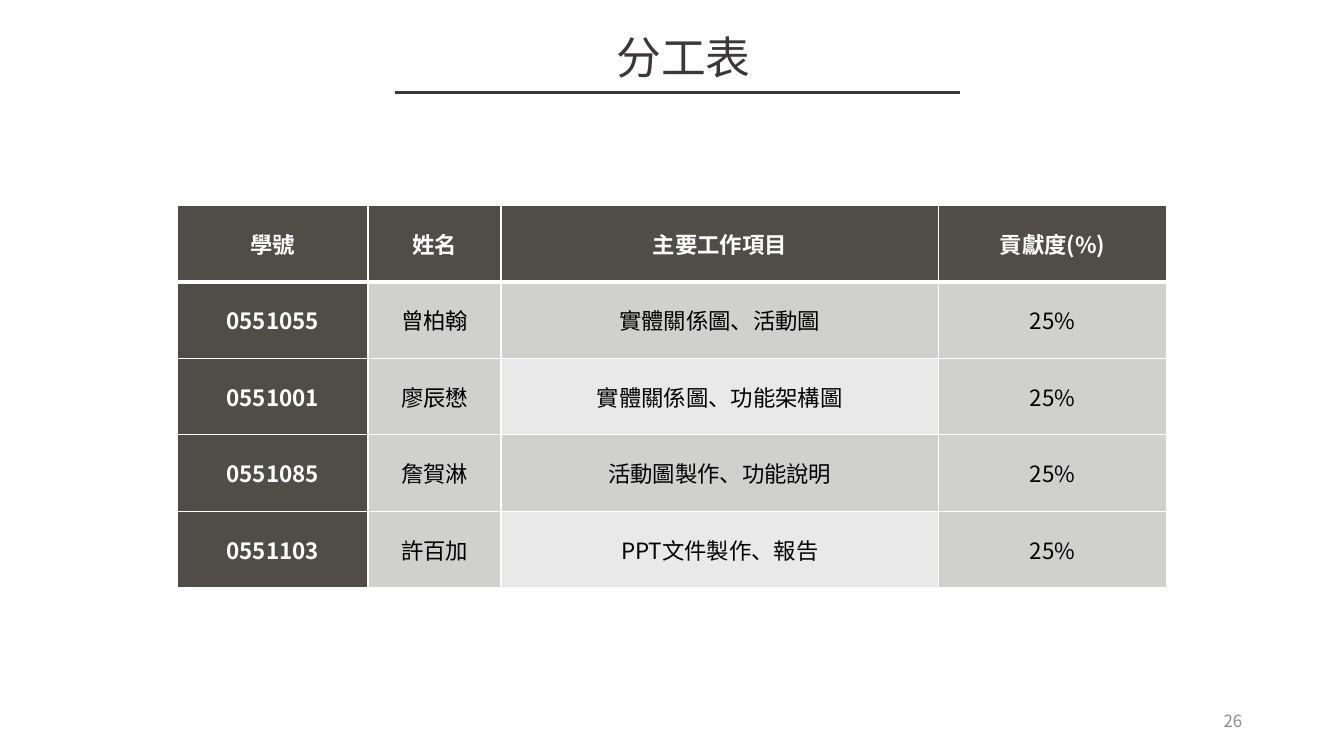
import pptx
import pptx.dml.color
import pptx.enum.shapes
import pptx.enum.text
import pptx.oxml.ns
import pptx.util
from dataclasses import dataclass
from lxml import etree

PX = 9144
ALIGN = pptx.enum.text.PP_ALIGN
MIDDLE = pptx.enum.text.MSO_ANCHOR.MIDDLE


@dataclass(frozen=True)
class Theme:
    """Colours, font and type sizes of the slide."""
    font: str = "Noto Sans CJK SC"
    title: str = "3B3838"
    number: str = "8C8C8C"
    dark: str = "504D47"
    band: str = "D0D0CF"
    pale: str = "E9E9E9"
    white: str = "FFFFFF"
    black: str = "000000"
    title_size: int = 32
    table_size: int = 16
    number_size: int = 12


THEME = Theme()
HEADINGS = ("學號", "姓名", "主要工作項目", "貢獻度(%)")
MEMBERS = (
    ("0551055", "曾柏翰", "實體關係圖、活動圖", "25%"),
    ("0551001", "廖辰懋", "實體關係圖、功能架構圖", "25%"),
    ("0551085", "詹賀淋", "活動圖製作、功能說明", "25%"),
    ("0551103", "許百加", "PPT文件製作、報告", "25%"),
)
COLUMN_WIDTHS = (189, 132, 434, 226)


def rgb(code):
    """Turn a hex code into a colour."""
    return pptx.dml.color.RGBColor.from_string(code)


def px(*lengths):
    """Turn pixel lengths into EMU."""
    return [pptx.util.Emu(length * PX) for length in lengths]


def write_text(frame, text, size, color, align=ALIGN.CENTER, bold=False):
    """Write one formatted paragraph into a text frame."""
    para = frame.paragraphs[0]
    para.alignment = align
    span = para.add_run()
    span.text = text
    span.font.size = pptx.util.Pt(size)
    span.font.bold = bold
    span.font.color.rgb = rgb(color)
    span.font.name = THEME.font
    east_asian = etree.SubElement(span.font._element, pptx.oxml.ns.qn("a:ea"))
    east_asian.set("typeface", THEME.font)


def add_label(page, box, text, **style):
    """Add a vertically centred text box."""
    frame = page.shapes.add_textbox(*px(*box)).text_frame
    frame.word_wrap = True
    frame.vertical_anchor = MIDDLE
    write_text(frame, text, **style)


def add_heading(page, box):
    """Add the title and the rule beneath it."""
    left, top, width, height = box
    add_label(page, box, "分工表", size=THEME.title_size, color=THEME.title)
    rule_y = top + height + 4
    rule = page.shapes.add_connector(
        pptx.enum.shapes.MSO_CONNECTOR.STRAIGHT,
        *px(left + 17, rule_y, left + width - 29, rule_y))
    rule.line.color.rgb = rgb(THEME.title)
    rule.line.width = pptx.util.Pt(2)
    etree.SubElement(rule._element.spPr, pptx.oxml.ns.qn("a:effectLst"))


def set_borders(cell, row):
    """Draw white cell borders, thicker below the heading row."""
    properties = cell._tc.get_or_add_tcPr()
    widths = {"lnL": 1, "lnR": 1, "lnT": 3 if row == 1 else 1, "lnB": 3 if row == 0 else 1}
    for side, points in widths.items():
        line = etree.SubElement(properties, pptx.oxml.ns.qn(f"a:{side}"))
        line.set("w", str(pptx.util.Pt(points)))
        fill = etree.SubElement(line, pptx.oxml.ns.qn("a:solidFill"))
        etree.SubElement(fill, pptx.oxml.ns.qn("a:srgbClr")).set("val", THEME.white)


def cell_fill(row, column):
    """Choose the fill of a cell from its place in the table."""
    if row == 0 or column == 0:
        return THEME.dark
    return THEME.pale if column == 2 and row % 2 == 0 else THEME.band


def add_work_table(page, box):
    """Add the table of members, tasks and contributions."""
    rows = (HEADINGS, *MEMBERS)
    table = page.shapes.add_table(len(rows), len(HEADINGS), *px(*box)).table
    for column, width in zip(table.columns, COLUMN_WIDTHS):
        column.width = px(width)[0]
    for row, values in enumerate(rows):
        for column, value in enumerate(values):
            cell = table.cell(row, column)
            set_borders(cell, row)
            cell.fill.solid()
            cell.fill.fore_color.rgb = rgb(cell_fill(row, column))
            cell.vertical_anchor = MIDDLE
            cell.margin_left, cell.margin_right = px(7, 7)
            cell.margin_top = cell.margin_bottom = 0
            strong = row == 0 or column == 0
            write_text(cell.text_frame, value, size=THEME.table_size, bold=strong,
                       color=THEME.white if strong else THEME.black)


def main():
    """Build and save the slide."""
    deck = pptx.Presentation()
    deck.slide_width, deck.slide_height = px(1333, 750)
    page = deck.slides.add_slide(deck.slide_layouts[6])
    add_heading(page, (375, 24, 606, 64))
    add_label(page, (942, 695, 300, 40), "26", size=THEME.number_size,
              color=THEME.number, align=ALIGN.RIGHT)
    add_work_table(page, (176, 204, sum(COLUMN_WIDTHS), 379))
    deck.save("out.pptx")


if __name__ == "__main__":
    main()
